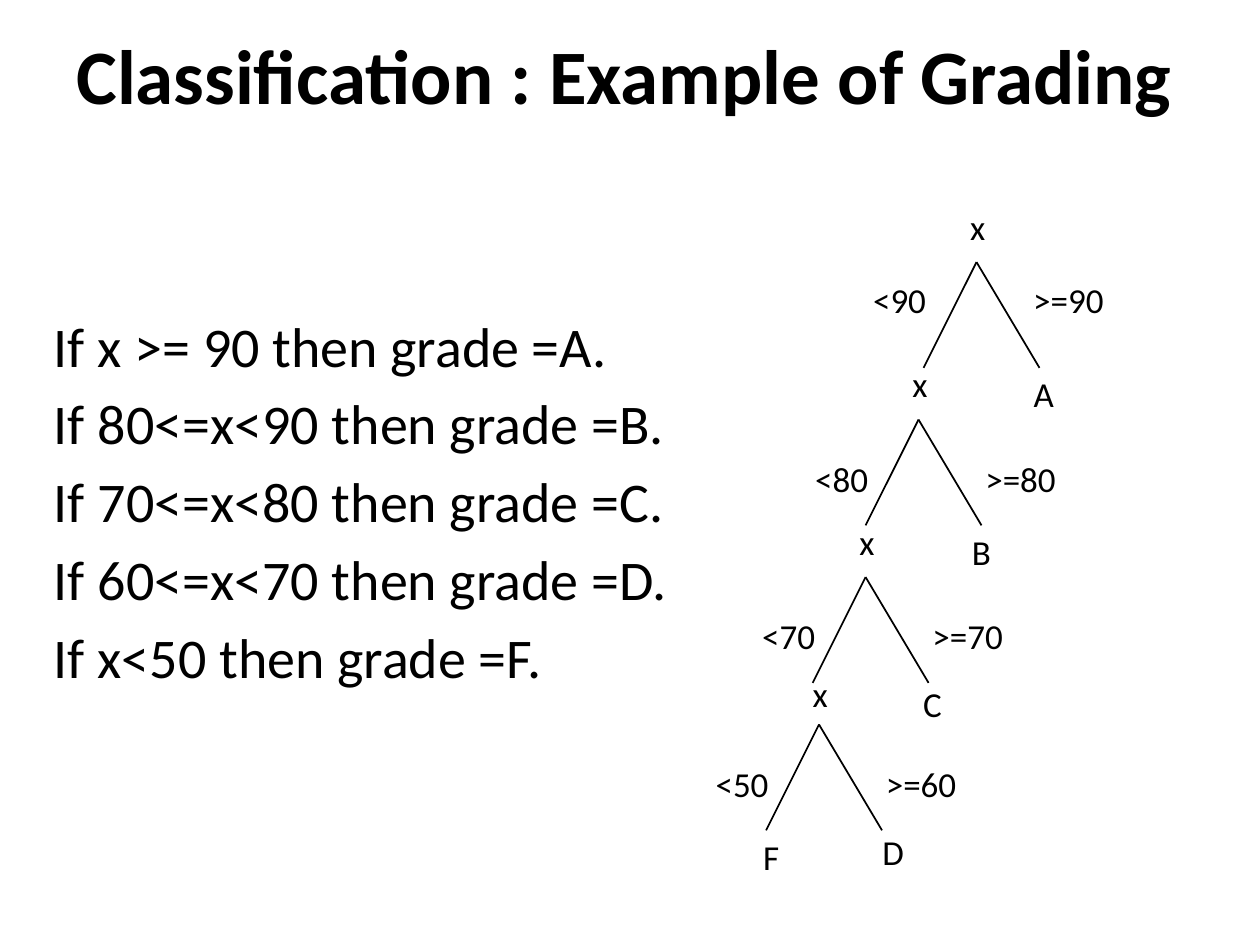
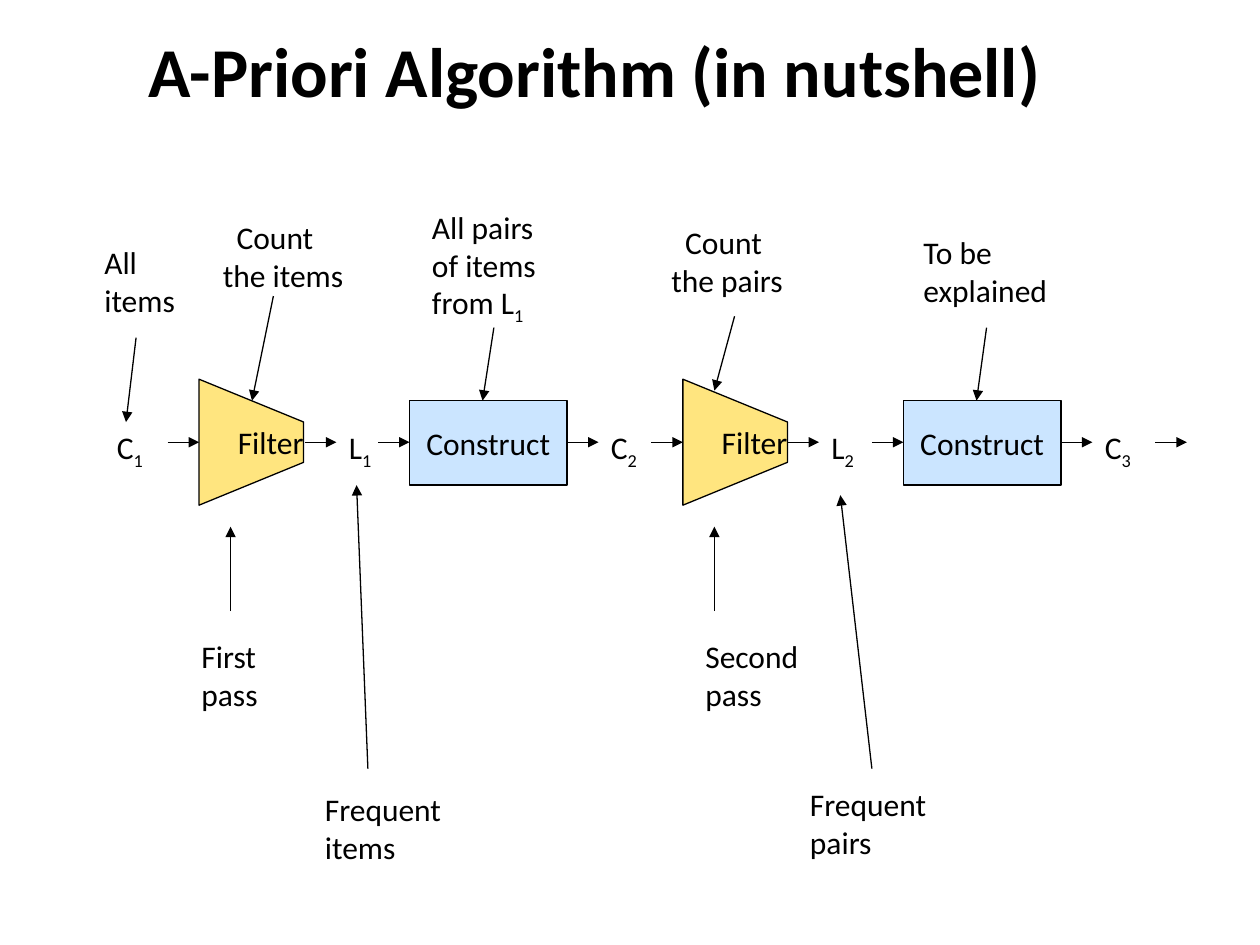
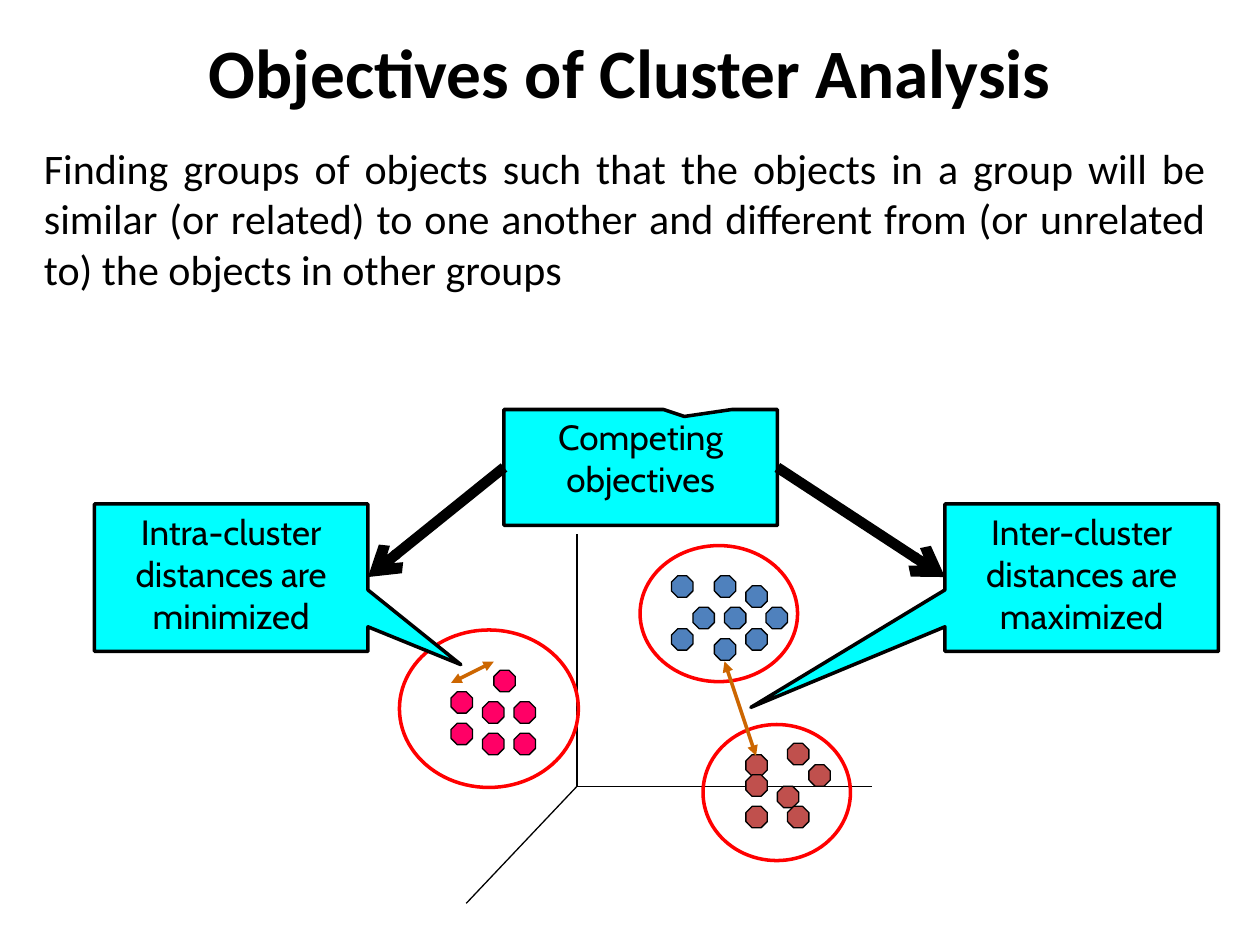
from dataclasses import dataclass

from lxml import etree
from pptx import Presentation
from pptx.dml.color import RGBColor
from pptx.enum.shapes import MSO_CONNECTOR, MSO_SHAPE
from pptx.enum.text import MSO_ANCHOR, MSO_AUTO_SIZE, PP_ALIGN
from pptx.oxml.ns import qn
from pptx.shapes.autoshape import Shape
from pptx.slide import Slide
from pptx.util import Inches, Pt

LEFT, CENTER, RIGHT, JUSTIFY = PP_ALIGN.LEFT, PP_ALIGN.CENTER, PP_ALIGN.RIGHT, PP_ALIGN.JUSTIFY
TOP, MIDDLE = MSO_ANCHOR.TOP, MSO_ANCHOR.MIDDLE
FIT_TEXT = MSO_AUTO_SIZE.SHAPE_TO_FIT_TEXT
STRAIGHT = MSO_CONNECTOR.STRAIGHT
RECTANGLE, ELLIPSE, OCTAGON = MSO_SHAPE.RECTANGLE, MSO_SHAPE.OVAL, MSO_SHAPE.OCTAGON
CALLOUT = MSO_SHAPE.RECTANGULAR_CALLOUT

COLORS = {
    "ink": "000000",
    "filter": "FFCC00",
    "construct": "99CCFF",
    "callout": "00FFFF",
    "ring": "FF0000",
    "distance": "CC6600",
    "blue": "4F81BD",
    "pink": "FF0066",
    "brick": "C0504D",
}
BODY_FONT = "Calibri"
CALLOUT_FONT = "Cabin"

Point = tuple[float, float]
Box = tuple[float, float, float, float]


@dataclass(frozen=True)
class TextStyle:
    size: float
    align: PP_ALIGN = LEFT
    bold: bool = False
    font: str = BODY_FONT
    space_before: float = 0


@dataclass(frozen=True)
class Split:
    apex: Point
    below: str
    above: str
    grade: str
    node_rise: float = 0.5
    test_drop: float = 0.25
    above_shift: float = 0.81
    grade_shift: float = 0.53
    grade_drop: float = 0.83


@dataclass(frozen=True)
class Note:
    box: Box
    lines: tuple[str, ...]
    start: Point
    end: Point
    first_indent: float = 0


@dataclass(frozen=True)
class Cluster:
    color: str
    ring: Box
    members: tuple[Point, ...]


@dataclass(frozen=True)
class Objective:
    text: str
    box: Box
    pointer: Point


TREE_STYLE = TextStyle(20, CENTER)
FLOW_STYLE = TextStyle(18)
CALLOUT_STYLE = TextStyle(20, CENTER, font=CALLOUT_FONT)

GRADE_RULES = (
    "If x >= 90 then grade =A.",
    "If 80<=x<90 then grade =B.",
    "If 70<=x<80 then grade =C.",
    "If 60<=x<70 then grade =D.",
    "If x<50 then grade =F.",
)
SPLITS = (
    Split((7.75, 2.08), "<90", ">=90", "A", test_drop=0.08, above_shift=0.73),
    Split((7.29, 3.33), "<80", ">=80", "B", grade_shift=0.5),
    Split((6.87, 4.58), "<70", ">=70", "C", grade_drop=0.79),
    Split((6.5, 5.75), "<50", ">=60", "D", node_rise=0.46, grade_shift=0.58, grade_drop=0.79),
)
LABEL_WIDTHS = {1: 0.35, 3: 0.63, 4: 0.77}

FLOW_Y = 3.51
FLOW_STEP = 0.25
FLOW_STARTS = (1.33, 2.42, 3, 4.5, 5.17, 6.25, 6.92, 8.42, 9.17)
ITEM_SETS = (("C_1", 0.83), ("L_1", 2.67), ("C_2", 4.75), ("L_2", 6.5), ("C_3", 8.67))
FILTER_LEFTS = (1.58, 5.42)
CONSTRUCT_LEFTS = (3.25, 7.17)
NOTES = (
    Note((0.73, 1.88, 0.8, 0.7), ("All", "items"), (1.08, 2.68), (1, 3.35)),
    Note((1.67, 1.68, 1.23, 0.7), ("Count", "the items"), (2.17, 2.35), (2, 3.18), 0.11),
    Note((3.33, 1.6, 1.09, 1), ("All pairs", "of items", "from L_1"), (3.92, 2.6), (3.83, 3.18)),
    Note((5.23, 1.72, 1.16, 0.7), ("Count", "the pairs"), (5.83, 2.51), (5.67, 3.1), 0.11),
    Note((7.23, 1.8, 1.25, 0.7), ("To be", "explained"), (7.83, 2.6), (7.75, 3.18)),
    Note((1.5, 5.01, 0.69, 0.7), ("First", "pass"), (1.83, 4.85), (1.83, 4.18)),
    Note((5.5, 5.01, 1, 0.7), ("Second", "pass"), (5.67, 4.85), (5.67, 4.18)),
    Note((2.48, 6.22, 1.19, 0.7), ("Frequent", "items"), (2.92, 6.1), (2.83, 3.85)),
    Note((6.33, 6.18, 1.19, 0.7), ("Frequent", "pairs"), (6.92, 6.1), (6.67, 3.93)),
)

CLUSTER_DEFINITION = (
    "Finding groups of objects such that the objects in a group will be similar "
    "(or related) to one another and different from (or unrelated to) the objects "
    "in other groups"
)
ORIGIN = (4.58, 6.24)
AXIS_ENDS = ((4.58, 4.24), (6.92, 6.24), (3.7, 7.17))
MEMBER_SIZE = 0.17
CLUSTERS = (
    Cluster("blue", (5.08, 4.33, 1.25, 1.08), (
        (5.5, 4.82), (5.75, 4.82), (5.67, 4.57), (5.67, 5.07), (6.08, 4.82),
        (5.92, 4.65), (5.33, 4.57), (5.92, 4.99), (5.33, 4.99))),
    Cluster("pink", (3.17, 5, 1.42, 1.25), (
        (3.58, 5.49), (3.83, 5.57), (3.83, 5.82), (4.08, 5.57), (3.92, 5.32),
        (4.08, 5.82), (3.58, 5.74))),
    Cluster("brick", (5.58, 5.75, 1.17, 1.08), (
        (5.92, 5.99), (6.42, 6.07), (6.17, 6.24), (5.92, 6.4), (6.25, 6.4),
        (5.92, 6.15), (6.25, 5.9))),
)
DISTANCES = (((6, 6), (5.75, 5.25)), ((3.58, 5.42), (3.92, 5.25)))
OBJECTIVES = (
    Objective("Inter-cluster distances are maximized", (7.5, 4, 2.17, 1.17), (-1.21, 0.88)),
    Objective("Intra-cluster distances are minimized", (0.75, 4, 2.17, 1.17), (0.84, 0.59)),
    Objective("Competing objectives", (4, 3.25, 2.17, 0.92), (0.16, -0.44)),
)
COMPETING_ARROWS = (((4, 3.71), (2.92, 4.58)), ((6.17, 3.71), (7.5, 4.58)))


def rgb(color: str) -> RGBColor:
    return RGBColor.from_string(COLORS[color])


def write(shape: Shape, lines: tuple[str, ...], style: TextStyle, anchor: MSO_ANCHOR = TOP,
          wrap: bool = True, first_indent: float = 0) -> None:
    frame = shape.text_frame
    frame.word_wrap = wrap
    frame.vertical_anchor = anchor
    for index, line in enumerate(lines):
        paragraph = frame.add_paragraph() if index else frame.paragraphs[0]
        paragraph.alignment = style.align
        paragraph.space_before = Pt(style.space_before)
        if first_indent and index == 0:
            paragraph._p.get_or_add_pPr().set("indent", str(Inches(first_indent)))
        base, _, subscript = line.partition("_")
        for part in filter(None, (base, subscript)):
            run = paragraph.add_run()
            run.text = part
            run.font.name = style.font
            run.font.size = Pt(style.size)
            run.font.bold = style.bold
            run.font.color.rgb = rgb("ink")
        if subscript:
            run.font._element.set("baseline", "-25000")


def add_text(slide: Slide, box: Box, lines: tuple[str, ...], style: TextStyle,
             anchor: MSO_ANCHOR = TOP) -> None:
    shape = slide.shapes.add_textbox(*map(Inches, box))
    write(shape, lines, style, anchor)


def add_label(slide: Slide, box: Box, lines: tuple[str, ...], style: TextStyle,
              first_indent: float = 0) -> None:
    shape = slide.shapes.add_textbox(*map(Inches, box))
    write(shape, lines, style, wrap=False, first_indent=first_indent)
    shape.text_frame.auto_size = FIT_TEXT


def add_title(slide: Slide, text: str, box: Box, size: float, align: PP_ALIGN = CENTER) -> None:
    add_text(slide, box, (text,), TextStyle(size, align, bold=True), MIDDLE)


def add_line(slide: Slide, start: Point, end: Point, width: float = 0.75, color: str = "ink",
             head: str = "", tail: str = "") -> None:
    line = slide.shapes.add_connector(STRAIGHT, *map(Inches, (*start, *end)))
    line.line.width = Pt(width)
    line.line.color.rgb = rgb(color)
    outline = line.line._get_or_add_ln()
    for tag, kind in (("a:headEnd", head), ("a:tailEnd", tail)):
        if kind:
            etree.SubElement(outline, qn(tag)).set("type", kind)
    etree.SubElement(line._element.spPr, qn("a:effectLst"))


def paint(shape: Shape, fill: str = "", outline: str = "ink", width: float = 0.75,
          opacity: int = 100) -> None:
    shape.shadow.inherit = False
    shape.line.color.rgb = rgb(outline)
    shape.line.width = Pt(width)
    if not fill:
        shape.fill.background()
        return
    shape.fill.solid()
    shape.fill.fore_color.rgb = rgb(fill)
    if opacity < 100:
        color = shape._element.spPr.find(qn("a:solidFill"))[0]
        etree.SubElement(color, qn("a:alpha")).set("val", str(opacity * 1000))


def add_filter(slide: Slide, left: float) -> None:
    right = left + 0.83
    corners = [(right, FLOW_Y + 0.16), (right, FLOW_Y - 0.16), (left, FLOW_Y - 0.5)]
    builder = slide.shapes.build_freeform(Inches(left), Inches(FLOW_Y + 0.5))
    builder.add_line_segments([(Inches(x), Inches(y)) for x, y in corners], close=True)
    shape = builder.convert_to_shape()
    paint(shape, "filter", opacity=50)
    shape.text_frame.margin_right = 0
    write(shape, ("Filter",), TextStyle(18, RIGHT), MIDDLE, wrap=False)


def add_construct(slide: Slide, left: float) -> None:
    shape = slide.shapes.add_shape(RECTANGLE, *map(Inches, (left, 3.18, 1.25, 0.67)))
    paint(shape, "construct", opacity=50)
    write(shape, ("Construct",), TextStyle(18, CENTER), MIDDLE, wrap=False)


def add_tree_label(slide: Slide, text: str, center: float, top: float) -> None:
    width = LABEL_WIDTHS[len(text)]
    add_label(slide, (center - width / 2, top, width, 0.44), (text,), TREE_STYLE)


def add_split(slide: Slide, split: Split) -> None:
    x, y = split.apex
    for reach in (-0.42, 0.5):
        add_line(slide, split.apex, (x + reach, y + 0.84), width=1)
    add_tree_label(slide, "x", x + 0.01, y - split.node_rise)
    add_tree_label(slide, split.below, x - 0.61, y + split.test_drop)
    add_tree_label(slide, split.above, x + split.above_shift, y + split.test_drop)
    add_tree_label(slide, split.grade, x + split.grade_shift, y + split.grade_drop)


def add_cluster(slide: Slide, cluster: Cluster) -> None:
    for x, y in cluster.members:
        member = slide.shapes.add_shape(
            OCTAGON, *map(Inches, (x, y, MEMBER_SIZE, MEMBER_SIZE)))
        member.adjustments[0] = 0.29
        paint(member, cluster.color)
    ring = slide.shapes.add_shape(ELLIPSE, *map(Inches, cluster.ring))
    paint(ring, outline="ring", width=2)


def add_objective(slide: Slide, objective: Objective) -> None:
    shape = slide.shapes.add_shape(CALLOUT, *map(Inches, objective.box))
    shape.adjustments[0], shape.adjustments[1] = objective.pointer
    paint(shape, "callout", width=2)
    write(shape, (objective.text,), CALLOUT_STYLE)


def build_grading(slide: Slide) -> None:
    add_title(slide, "Classification : Example of Grading", (0.5, 0.25, 8.92, 0.67), 44)
    add_text(slide, (0.33, 2.42, 5.86, 3.35), GRADE_RULES, TextStyle(32, space_before=6))
    for split in SPLITS:
        add_split(slide, split)
    add_tree_label(slide, "F", 6.12, 6.58)


def build_apriori(slide: Slide) -> None:
    add_title(slide, "A-Priori Algorithm (in nutshell)", (1.08, 0.17, 7.67, 0.77), 40, LEFT)
    for name, left in ITEM_SETS:
        add_label(slide, (left, 3.35, 0.44, 0.4), (name,), FLOW_STYLE)
    for left in FILTER_LEFTS:
        add_filter(slide, left)
    for left in CONSTRUCT_LEFTS:
        add_construct(slide, left)
    for start in FLOW_STARTS:
        add_line(slide, (start, FLOW_Y), (start + FLOW_STEP, FLOW_Y), tail="triangle")
    for note in NOTES:
        add_label(slide, note.box, note.lines, FLOW_STYLE, note.first_indent)
        add_line(slide, note.start, note.end, tail="triangle")


def build_objectives(slide: Slide) -> None:
    add_title(slide, "Objectives of Cluster Analysis", (0.5, 0.17, 9, 0.78), 39.6)
    add_text(slide, (0.25, 1.08, 9.42, 1.91), (CLUSTER_DEFINITION,), TextStyle(24, JUSTIFY))
    for end in AXIS_ENDS:
        add_line(slide, ORIGIN, end)
    for cluster in CLUSTERS:
        add_cluster(slide, cluster)
    for start, end in DISTANCES:
        add_line(slide, start, end, 2, "distance", "triangle", "triangle")
    for objective in OBJECTIVES:
        add_objective(slide, objective)
    for start, end in COMPETING_ARROWS:
        add_line(slide, start, end, 6, tail="arrow")


def main() -> None:
    deck = Presentation()
    deck.slide_width = Inches(10)
    deck.slide_height = Inches(7.5)
    blank = deck.slide_layouts[6]
    for build in (build_grading, build_apriori, build_objectives):
        build(deck.slides.add_slide(blank))
    deck.save("out.pptx")


if __name__ == "__main__":
    main()
